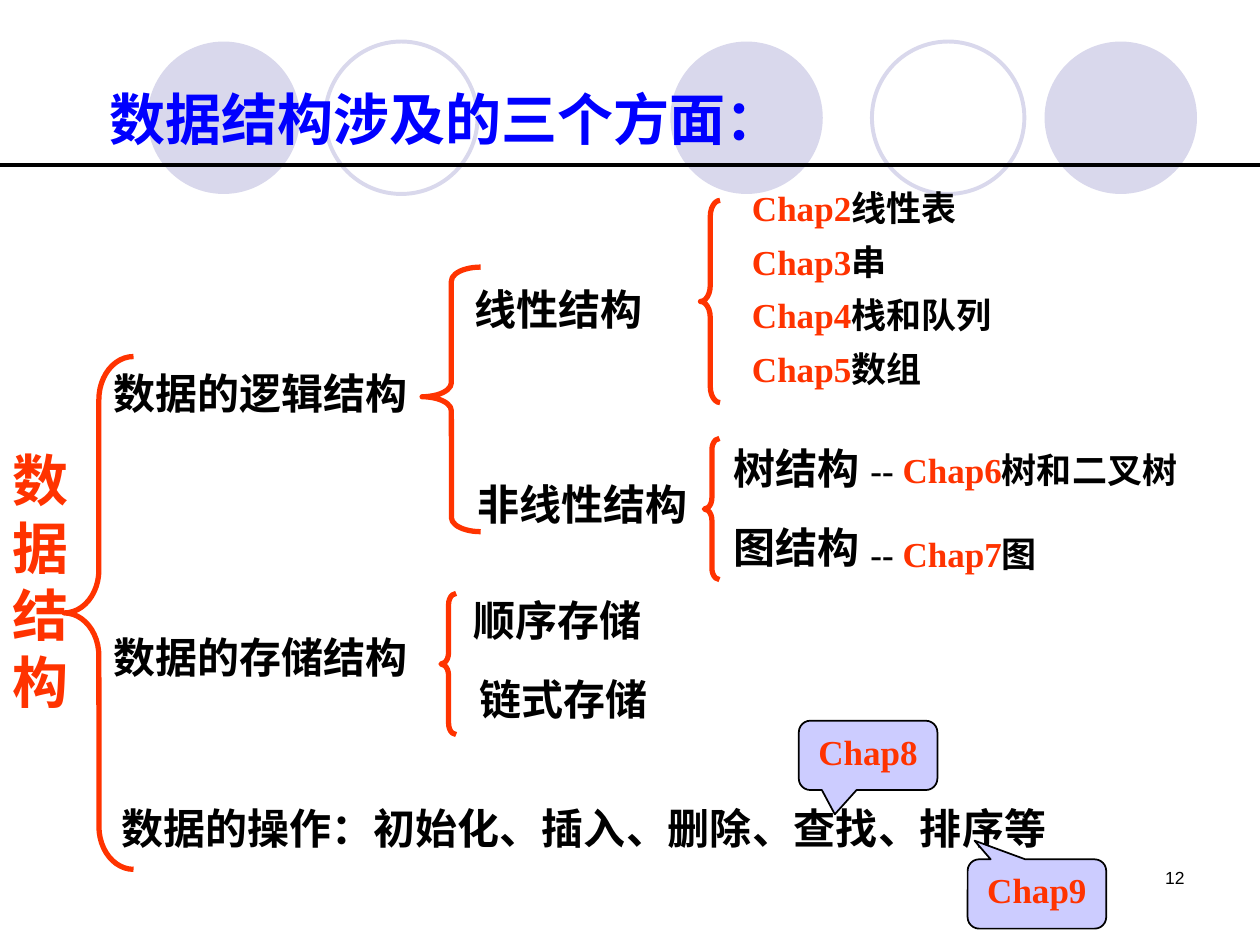
"""Build a slide that maps the three aspects of data structures to chapters."""
from dataclasses import dataclass

from lxml import etree
from pptx import Presentation
from pptx import util as u
from pptx.dml.color import RGBColor
from pptx.enum import shapes, text
from pptx.oxml.ns import qn

COLS, ROWS = 100, 75
WIDTH, HEIGHT = u.Inches(10), u.Inches(7.5)

BLACK = RGBColor(0x00, 0x00, 0x00)
BLUE = RGBColor(0x00, 0x00, 0xFF)
RED = RGBColor(0xFF, 0x33, 0x00)
LAVENDER = RGBColor(0xD9, 0xD8, 0xEC)
LILAC = RGBColor(0xCC, 0xCC, 0xFF)

LEFT, CENTER, RIGHT = text.PP_ALIGN.LEFT, text.PP_ALIGN.CENTER, text.PP_ALIGN.RIGHT


@dataclass(frozen=True)
class Box:
    """A rectangle in grid columns and rows."""
    col: float
    row: float
    cols: float
    rows: float

    def emu(self) -> tuple[int, int, int, int]:
        """Return left, top, width and height in EMU."""
        x, y = WIDTH / COLS, HEIGHT / ROWS
        return int(self.col * x), int(self.row * y), int(self.cols * x), int(self.rows * y)


@dataclass(frozen=True)
class Run:
    """A piece of text in one colour."""
    words: str
    color: RGBColor = BLACK


@dataclass(frozen=True)
class Label:
    """A one-paragraph text box."""
    box: Box
    runs: tuple[Run, ...]
    size: float = 24
    align: text.PP_ALIGN = LEFT
    font: str = "Times New Roman"
    bold: bool = True


@dataclass(frozen=True)
class Circle:
    """A background circle, filled or outlined."""
    col: float
    filled: bool


@dataclass(frozen=True)
class Brace:
    """A left brace with its curl and the height of its point."""
    box: Box
    curl: float
    point: float = 0.5


@dataclass(frozen=True)
class Callout:
    """A chapter callout and the offset of its tip."""
    box: Box
    words: str
    tip: tuple[float, float]


CIRCLES = [Circle(53.2, True), Circle(82.9, True), Circle(11.7, True),
           Circle(69.2, False), Circle(25.8, False)]

BRACES = [
    Brace(Box(5.1, 28.3, 5.5, 40.7), 0.62),
    Brace(Box(35, 47.1, 1.2, 11.2), 0.75),
    Brace(Box(33.5, 21.2, 4.65, 21), 0.24, 0.49),
    Brace(Box(55.6, 15.9, 1.55, 16.05), 0.83),
    Brace(Box(55.9, 34.8, 1.2, 11.2), 0.75),
]

LINEAR_CHAPTERS = [("Chap2", "线性表"), ("Chap3", "串"), ("Chap4", "栈和队列"), ("Chap5", "数组")]
NONLINEAR_CHAPTERS = [("Chap6", "树和二叉树"), ("Chap7", "图")]

LABELS = [
    Label(Box(7.7, 6.2, 65, 6.4), (Run("数据结构涉及的三个方面：", BLUE),), 32),
    Label(Box(0, 34.9, 3.9, 22.4), (Run("数据结构", RED),), 32),
    Label(Box(6.2, 28.7, 29, 5), (Run("数据的逻辑结构"),), align=CENTER),
    Label(Box(6.2, 49.6, 29, 5), (Run("数据的存储结构"),), align=CENTER),
    Label(Box(8.7, 63.2, 77, 5), (Run("数据的操作：初始化、插入、删除、查找、排序等"),)),
    Label(Box(35, 22, 18.7, 5), (Run("线性结构"),), align=CENTER),
    Label(Box(35.5, 37.5, 21.5, 5), (Run("非线性结构"),), align=CENTER),
    Label(Box(36.6, 46.7, 21.5, 5), (Run("顺序存储"),)),
    Label(Box(37.1, 53, 21.5, 5), (Run("链式存储"),)),
    Label(Box(55.5, 34.6, 15.4, 5), (Run("树结构"),), align=CENTER),
    Label(Box(55.5, 40.9, 15.4, 5), (Run("图结构"),), align=CENTER),
    *(Label(Box(58.7, 14.3 + 4.27 * i, 30.7, 4.9), (Run(chapter, RED), Run(topic)), 20)
      for i, (chapter, topic) in enumerate(LINEAR_CHAPTERS)),
    *(Label(Box(68.1, 35.1 + 6.7 * i, 30.7, 4.4),
            (Run("-- "), Run(chapter, RED), Run(topic)), 20)
      for i, (chapter, topic) in enumerate(NONLINEAR_CHAPTERS)),
    Label(Box(71.7, 68.3, 23.3, 5), (Run("12"),), 10, RIGHT, "Arial", False),
]

CALLOUTS = [
    Callout(Box(63.4, 57.2, 11, 5.5), "Chap8", (-0.24, 0.85)),
    Callout(Box(76.8, 68.2, 11, 5.5), "Chap9", (-0.45, -0.77)),
]


def write(sp, label: Label) -> None:
    """Fill a shape's text frame with the runs of a label."""
    tf = sp.text_frame
    tf.word_wrap = True
    p = tf.paragraphs[0]
    p.alignment = label.align
    for run in label.runs:
        r = p.add_run()
        r.text = run.words
        r.font.name, r.font.size, r.font.bold = label.font, u.Pt(label.size), label.bold
        r.font.color.rgb = run.color


def add_shape(s, kind, box: Box, fill=None, line=None, weight: float = 1):
    """Add a preset shape with an optional fill and outline."""
    sp = s.shapes.add_shape(kind, *box.emu())
    sp.shadow.inherit = False
    if fill is None:
        sp.fill.background()
    else:
        sp.fill.solid()
        sp.fill.fore_color.rgb = fill
    if line is None:
        sp.line.fill.background()
    else:
        sp.line.color.rgb = line
        sp.line.width = u.Pt(weight)
    return sp


def add_circle(s, circle: Circle) -> None:
    """Draw one background circle."""
    fill, line = (LAVENDER, None) if circle.filled else (None, LAVENDER)
    add_shape(s, shapes.MSO_SHAPE.OVAL, Box(circle.col, 3.3, 12.1, 12.1), fill, line, 2.25)


def add_rule(s, row: float) -> None:
    """Draw the full-width line under the title."""
    x, y, w, _ = Box(0, row, COLS, 0).emu()
    line = s.shapes.add_connector(shapes.MSO_CONNECTOR.STRAIGHT, x, y, x + w, y)
    line.line.color.rgb = BLACK
    line.line.width = u.Pt(2.5)
    etree.SubElement(line._element.spPr, qn("a:effectLst"))


def add_brace(s, brace: Brace) -> None:
    """Draw one left brace."""
    sp = add_shape(s, shapes.MSO_SHAPE.LEFT_BRACE, brace.box, line=RED, weight=3)
    sp.adjustments[0], sp.adjustments[1] = brace.curl, brace.point


def add_label(s, label: Label) -> None:
    """Draw one text box."""
    write(s.shapes.add_textbox(*label.box.emu()), label)


def add_callout(s, callout: Callout) -> None:
    """Draw one chapter callout."""
    kind = shapes.MSO_SHAPE.ROUNDED_RECTANGULAR_CALLOUT
    sp = add_shape(s, kind, callout.box, LILAC, BLACK)
    sp.adjustments[0], sp.adjustments[1] = callout.tip
    sp.text_frame.vertical_anchor = text.MSO_ANCHOR.TOP
    write(sp, Label(callout.box, (Run(callout.words, RED),), 20, CENTER))


def main() -> None:
    """Build and save the slide."""
    prs = Presentation()
    prs.slide_width, prs.slide_height = WIDTH, HEIGHT
    s = prs.slides.add_slide(prs.slide_layouts[6])
    for circle in CIRCLES:
        add_circle(s, circle)
    add_rule(s, 13.1)
    for brace in BRACES:
        add_brace(s, brace)
    for label in LABELS:
        add_label(s, label)
    for callout in CALLOUTS:
        add_callout(s, callout)
    prs.save("out.pptx")


if __name__ == "__main__":
    main()
